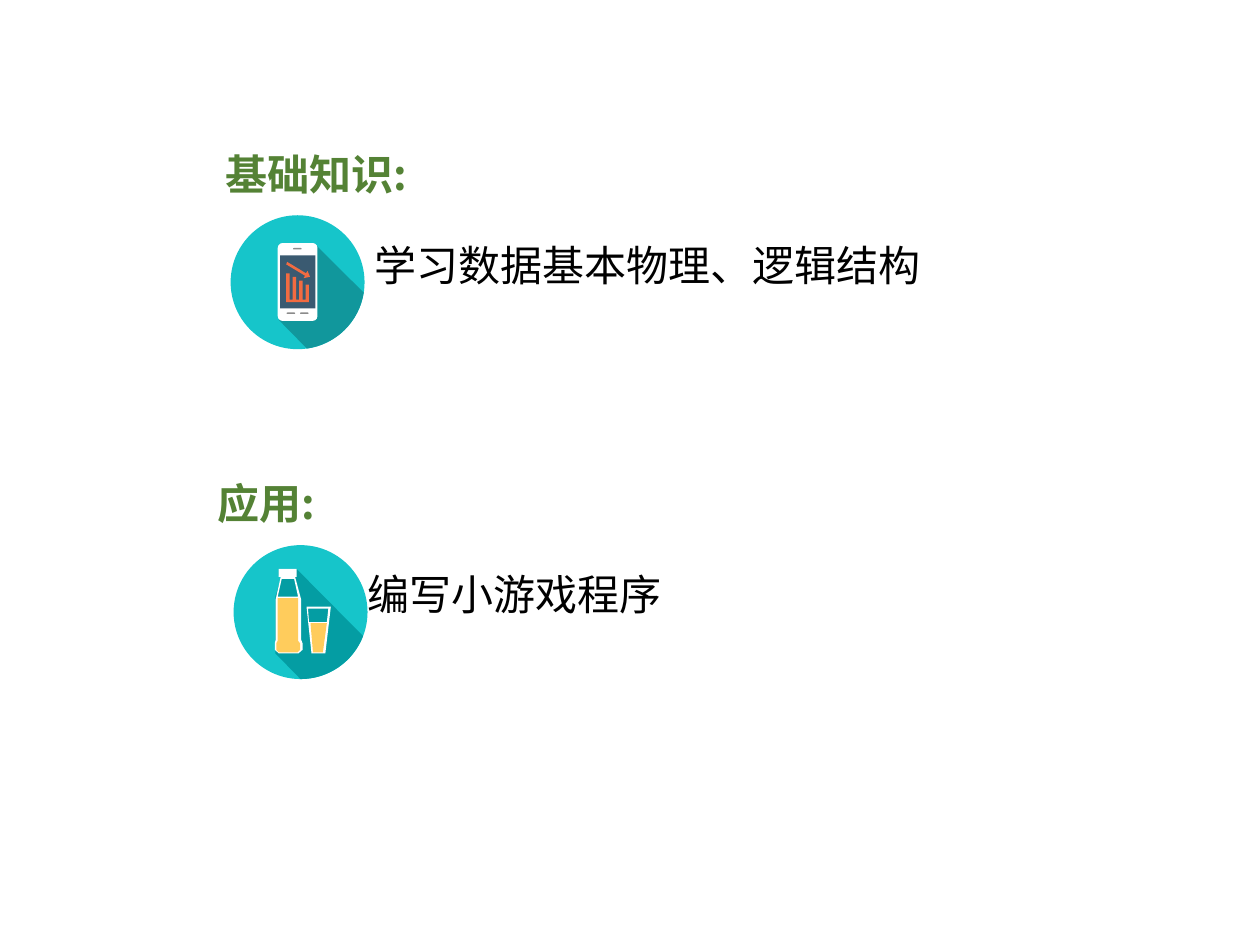
from math import cos, radians, sin

from pptx import Presentation
from pptx.dml.color import RGBColor
from pptx.enum.shapes import MSO_SHAPE as Preset
from pptx.oxml.ns import qn
from pptx.util import Cm, Pt

TEAL = RGBColor(0x16, 0xC5, 0xCA)
PHONE_SHADOW = RGBColor(0x11, 0x97, 0x9C)
BOTTLE_SHADOW = RGBColor(0x04, 0x9D, 0xA3)
WHITE = RGBColor(0xFF, 0xFF, 0xFF)
SLATE = RGBColor(0x3A, 0x5A, 0x71)
GRAY = RGBColor(0x8B, 0x8B, 0x8B)
ORANGE = RGBColor(0xF2, 0x6B, 0x41)
JUICE = RGBColor(0xFF, 0xCC, 0x5C)
GREEN = RGBColor(0x54, 0x82, 0x35)
BLACK = RGBColor(0x00, 0x00, 0x00)

FONT = "Noto Sans CJK SC"
DISC = 2.7


def paint(shape, color):
    shape.shadow.inherit = False
    shape.fill.solid()
    shape.fill.fore_color.rgb = color
    shape.line.fill.background()


def add_preset(group, preset, origin, box, color, corner=None):
    left, top, width, height = box
    shape = group.shapes.add_shape(
        preset, Cm(origin[0] + left), Cm(origin[1] + top), Cm(width), Cm(height))
    if corner is not None:
        shape.adjustments[0] = corner
    paint(shape, color)


def add_outline(group, origin, contours, color):
    placed = [[(Cm(origin[0] + x), Cm(origin[1] + y)) for x, y in contour]
              for contour in contours]
    builder = group.shapes.build_freeform(*placed[0][0], scale=1.0)
    builder.add_line_segments(placed[0][1:], close=True)
    for contour in placed[1:]:
        builder.move_to(*contour[0])
        builder.add_line_segments(contour[1:], close=True)
    paint(builder.convert_to_shape(), color)


def disc_arc(start, end, steps=16):
    radius = DISC / 2
    angles = [radians(start + (end - start) * i / steps) for i in range(steps + 1)]
    return [(radius + radius * cos(a), radius + radius * sin(a)) for a in angles]


def add_disc(slide, origin):
    group = slide.shapes.add_group_shape()
    add_preset(group, Preset.OVAL, origin, (0, 0, DISC, DISC), TEAL)
    return group


def add_phone_icon(slide, origin):
    group = add_disc(slide, origin)
    add_outline(group, origin, [[(0.97, 2.11), (1.7, 0.58), *disc_arc(9, 82)]],
                PHONE_SHADOW)
    add_preset(group, Preset.ROUNDED_RECTANGLE, origin, (0.95, 0.56, 0.8, 1.57),
               WHITE, corner=0.12)
    add_preset(group, Preset.RECTANGLE, origin, (1, 0.81, 0.71, 1.07), SLATE)
    for left, top in ((1.13, 1.96), (1.4, 1.96), (1.26, 0.66)):
        add_preset(group, Preset.ROUNDED_RECTANGLE, origin, (left, top, 0.17, 0.03),
                   GRAY, corner=0.5)
    arrow = [(1.5, 1.22), (1.12, 0.99), (1.14, 0.94), (1.52, 1.17), (1.55, 1.12),
             (1.6, 1.24), (1.47, 1.27)]
    bars = [(1.12, 1.75)]
    for index, top in enumerate((1.17, 1.24, 1.32, 1.4)):
        left = 1.12 + 0.13 * index
        right = left + 0.07
        bars += [(left, 1.7), (left, top), (right, top), (right, 1.7)]
    bars.append((right, 1.75))
    add_outline(group, origin, [arrow, bars], ORANGE)


def add_bottle_icon(slide, origin):
    group = add_disc(slide, origin)
    shadow = [(1.27, 0.48), (0.91, 0.48), (0.91, 0.61), (0.97, 0.64), (0.84, 1.04),
              (0.84, 2.18), *disc_arc(90, 21)]
    add_outline(group, origin, [shadow], BOTTLE_SHADOW)
    cap = [(0.91, 0.48), (1.27, 0.48), (1.27, 0.64), (0.91, 0.64)]
    glass = [(1.47, 1.24), (1.96, 1.24), (1.85, 2.18), (1.57, 2.18)]
    glass_hole = [(1.5, 1.28), (1.52, 1.55), (1.88, 1.55), (1.91, 1.28)]
    bottle = [(0.95, 0.64), (1.24, 0.64), (1.36, 1.09), (1.36, 1.9), (1.39, 1.98),
              (1.39, 2.11), (1.31, 2.18), (0.91, 2.18), (0.83, 2.11), (0.83, 1.98),
              (0.85, 1.9), (0.85, 1.09)]
    bottle_hole = [(1.3, 1.04), (1.22, 0.68), (0.97, 0.68), (0.89, 1.04)]
    add_outline(group, origin, [cap, glass, glass_hole, bottle, bottle_hole], WHITE)
    bottle_juice = [(0.89, 1.07), (1.3, 1.07), (1.3, 1.93), (1.34, 1.98),
                    (1.34, 2.11), (1.29, 2.16), (0.91, 2.16), (0.86, 2.11),
                    (0.86, 1.98), (0.89, 1.93)]
    glass_juice = [(1.55, 1.57), (1.88, 1.57), (1.8, 2.16), (1.6, 2.16)]
    for juice in (bottle_juice, glass_juice):
        add_outline(group, origin, [juice], JUICE)


def write_text(paragraph, text, *, color, bold=False, size=24, indent=0, before=0):
    run = paragraph.add_run()
    run.text = text
    run.font.name = FONT
    run.font.size = Pt(size)
    run.font.bold = bold
    run.font.color.rgb = color
    properties = run.font._element
    east_asian = properties.makeelement(qn("a:ea"), {"typeface": FONT})
    properties.find(qn("a:latin")).addnext(east_asian)
    paragraph.space_before = Pt(before)
    paragraph._p.get_or_add_pPr().set("marL", str(Cm(indent)))


def add_section(slide, box, heading, body):
    frame = slide.shapes.add_textbox(*map(Cm, box)).text_frame
    frame.word_wrap = True
    write_text(frame.paragraphs[0], heading, color=GREEN, bold=True)
    write_text(frame.add_paragraph(), body, color=BLACK, indent=3.02, before=23)


def main():
    presentation = Presentation()
    presentation.slide_width = Cm(25.4)
    presentation.slide_height = Cm(19.05)
    slide = presentation.slides.add_slide(presentation.slide_layouts[6])
    add_phone_icon(slide, (4.65, 4.34))
    add_bottle_icon(slide, (4.71, 10.99))
    add_section(slide, (4.29, 2.87, 16.61, 3.33), "基础知识:",
                "学习数据基本物理、逻辑结构")
    add_section(slide, (4.14, 9.5, 14.6, 5.38), "应用:", "编写小游戏程序")
    presentation.save("out.pptx")


if __name__ == "__main__":
    main()
